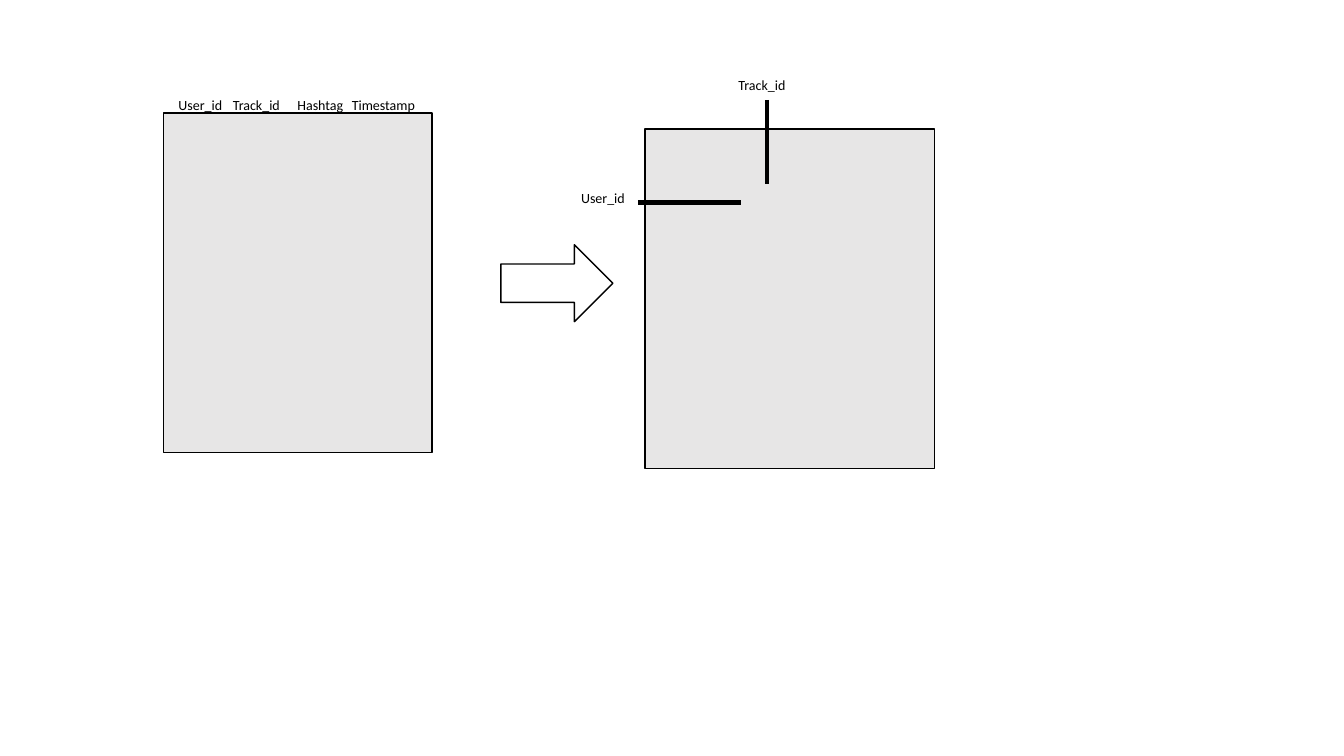
from pptx import Presentation
from pptx.dml.color import RGBColor
from pptx.enum.shapes import MSO_CONNECTOR, MSO_SHAPE
from pptx.enum.text import MSO_AUTO_SIZE
from pptx.oxml.ns import qn
from pptx.util import Pt
from lxml.etree import SubElement

BLACK, WHITE, GREY = "000000", "FFFFFF", "E7E6E6"
LABEL_HEIGHT = 19.4
LABEL_WIDTHS = {"User_id": 46.8, "Track_id": 55.4, "Hashtag": 48.2, "Timestamp": 64.1}


def color(hex_code):
    return RGBColor.from_string(hex_code)


def add_outlined(slide, preset, box, fill):
    outlined = slide.shapes.add_shape(preset, *map(Pt, box))
    outlined.shadow.inherit = False
    outlined.fill.solid()
    outlined.fill.fore_color.rgb = color(fill)
    outlined.line.color.rgb = color(BLACK)
    outlined.line.width = Pt(1)


def add_label(slide, field, left, top):
    label = slide.shapes.add_textbox(
        Pt(left), Pt(top), Pt(LABEL_WIDTHS[field]), Pt(LABEL_HEIGHT))
    frame = label.text_frame
    frame.word_wrap = True
    frame.auto_size = MSO_AUTO_SIZE.SHAPE_TO_FIT_TEXT
    frame.text = field
    font = frame.paragraphs[0].font
    font.name, font.size = "Calibri", Pt(10)
    font.color.rgb = color(BLACK)


def add_axis_mark(slide, start, end):
    mark = slide.shapes.add_connector(MSO_CONNECTOR.STRAIGHT, *map(Pt, start + end))
    mark.line.color.rgb = color(BLACK)
    mark.line.width = Pt(3)
    SubElement(mark._element.spPr, qn("a:effectLst"))


def draw_event_table(slide, box):
    """Table of listening events with its column names along the top edge."""
    left, top, _, _ = box
    add_outlined(slide, MSO_SHAPE.RECTANGLE, box, GREY)
    columns = {"User_id": 3.6, "Track_id": 42.5, "Hashtag": 88.6, "Timestamp": 127.4}
    for field, offset in columns.items():
        add_label(slide, field, left + offset, top - 15.1)


def draw_user_track_matrix(slide, box):
    """Matrix with users as rows and tracks as columns."""
    left, top, _, _ = box
    add_outlined(slide, MSO_SHAPE.RECTANGLE, box, GREY)
    add_label(slide, "User_id", left - 52.6, top + 39.6)
    add_label(slide, "Track_id", left + 59.8, top - 41)
    row_y, column_x = top + 52.5, left + 87.1
    add_axis_mark(slide, (left - 5, row_y), (left + 68.4, row_y))
    add_axis_mark(slide, (column_x, top - 20.9), (column_x, top + 39.6))


def main():
    deck = Presentation()
    deck.slide_width, deck.slide_height = Pt(960), Pt(540)
    slide = deck.slides.add_slide(deck.slide_layouts[6])
    draw_event_table(slide, (116.8, 80.8, 191.8, 242.6))
    add_outlined(slide, MSO_SHAPE.RIGHT_ARROW, (357.8, 174.8, 80, 55), WHITE)
    draw_user_track_matrix(slide, (460.6, 92.2, 206.8, 242.6))
    deck.save("out.pptx")


if __name__ == "__main__":
    main()
